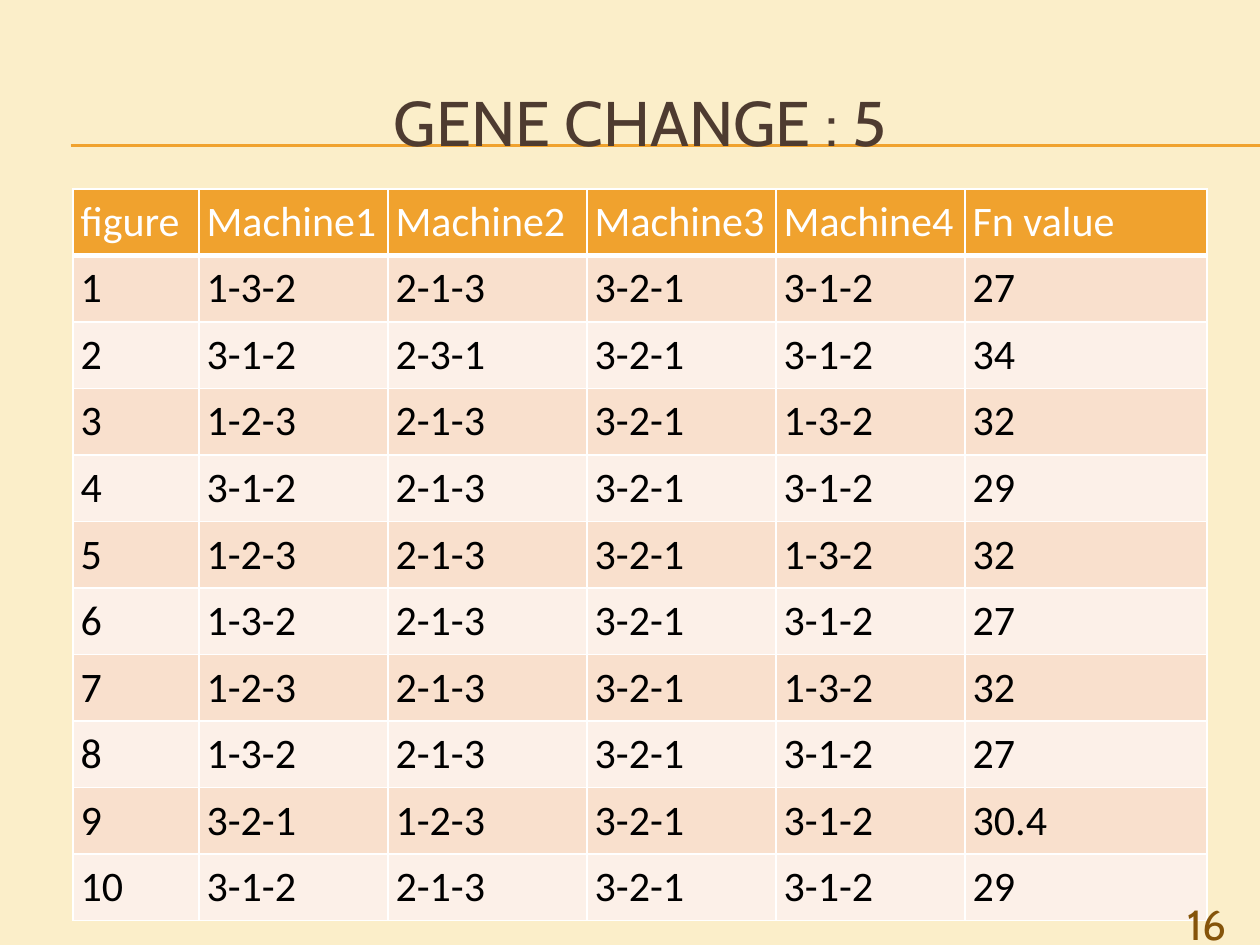
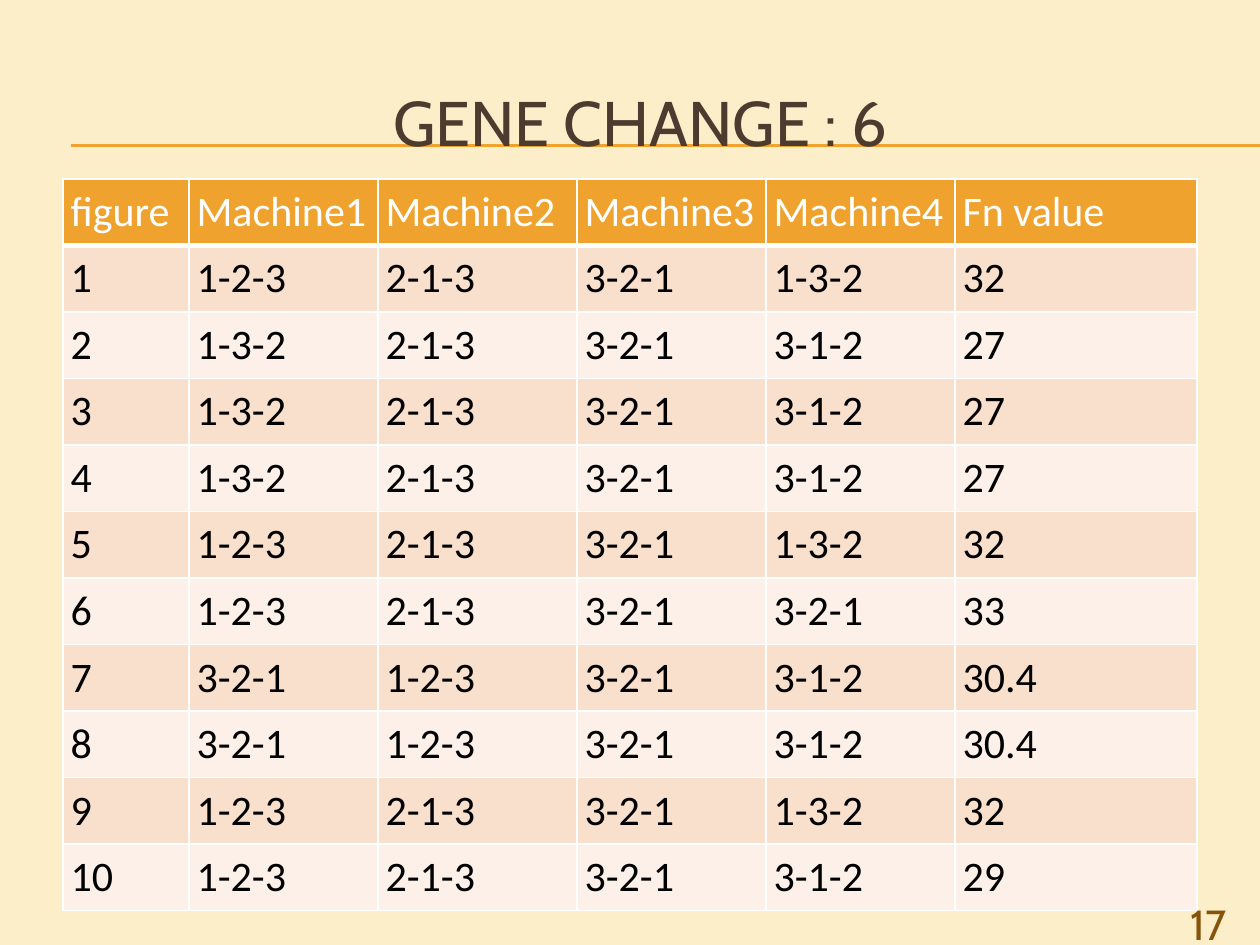
from lxml import etree
from pptx import Presentation
from pptx.dml.color import RGBColor
from pptx.enum.shapes import MSO_CONNECTOR
from pptx.enum.text import MSO_ANCHOR, PP_ALIGN
from pptx.oxml.ns import qn
from pptx.util import Inches, Pt

STRAIGHT = MSO_CONNECTOR.STRAIGHT
TOP, MIDDLE = MSO_ANCHOR.TOP, MSO_ANCHOR.MIDDLE
LEFT, CENTER, RIGHT = PP_ALIGN.LEFT, PP_ALIGN.CENTER, PP_ALIGN.RIGHT

CREAM, ORANGE, WHITE, BLACK = "FBEEC9", "F0A22E", "FFFFFF", "000000"
TITLE_BROWN, NUMBER_BROWN = "4E3B30", "85540A"
BANDS = ("F9E0CD", "FCF0E8")
HEADING_FONT, TABLE_FONT = "Cabin", "Calibri"

COLUMN_WIDTHS = (1, 1.5, 1.58, 1.5, 1.5, 1.92)
TABLE_HEIGHT = 5.81
CELL_INSET = 0.06
HEADER = ("figure", "Machine1", "Machine2", "Machine3", "Machine4", "Fn value")

GENE_CHANGES = (
    {
        "title": "GENE CHANGE : 5", "number": "16", "left": 0.58, "top": 1.5,
        "rows": (
            ("1-3-2", "2-1-3", "3-2-1", "3-1-2", "27"),
            ("3-1-2", "2-3-1", "3-2-1", "3-1-2", "34"),
            ("1-2-3", "2-1-3", "3-2-1", "1-3-2", "32"),
            ("3-1-2", "2-1-3", "3-2-1", "3-1-2", "29"),
            ("1-2-3", "2-1-3", "3-2-1", "1-3-2", "32"),
            ("1-3-2", "2-1-3", "3-2-1", "3-1-2", "27"),
            ("1-2-3", "2-1-3", "3-2-1", "1-3-2", "32"),
            ("1-3-2", "2-1-3", "3-2-1", "3-1-2", "27"),
            ("3-2-1", "1-2-3", "3-2-1", "3-1-2", "30.4"),
            ("3-1-2", "2-1-3", "3-2-1", "3-1-2", "29"),
        ),
    },
    {
        "title": "GENE CHANGE : 6", "number": "17", "left": 0.5, "top": 1.42,
        "rows": (
            ("1-2-3", "2-1-3", "3-2-1", "1-3-2", "32"),
            ("1-3-2", "2-1-3", "3-2-1", "3-1-2", "27"),
            ("1-3-2", "2-1-3", "3-2-1", "3-1-2", "27"),
            ("1-3-2", "2-1-3", "3-2-1", "3-1-2", "27"),
            ("1-2-3", "2-1-3", "3-2-1", "1-3-2", "32"),
            ("1-2-3", "2-1-3", "3-2-1", "3-2-1", "33"),
            ("3-2-1", "1-2-3", "3-2-1", "3-1-2", "30.4"),
            ("3-2-1", "1-2-3", "3-2-1", "3-1-2", "30.4"),
            ("1-2-3", "2-1-3", "3-2-1", "1-3-2", "32"),
            ("1-2-3", "2-1-3", "3-2-1", "3-1-2", "29"),
        ),
    },
)


def color(value):
    """Return the colour for a hex string."""
    return RGBColor.from_string(value)


def write(frame, text, *, size=24, font=HEADING_FONT, fill=BLACK, align=LEFT):
    """Write one formatted paragraph into a text frame."""
    para = frame.paragraphs[0]
    para.alignment = align
    span = para.add_run()
    span.text = text
    span.font.size = Pt(size)
    span.font.name = font
    span.font.bold = False
    span.font.color.rgb = color(fill)


def add_border(cell, side, points):
    """Draw a white border on one side of a table cell."""
    properties = cell._tc.get_or_add_tcPr()
    line = etree.SubElement(properties, qn(f"a:ln{side}"), w=str(Pt(points)))
    solid = etree.SubElement(line, qn("a:solidFill"))
    etree.SubElement(solid, qn("a:srgbClr"), val=WHITE)


class GeneDeck:
    """Hold the deck style and the page being built."""

    def __init__(self):
        """Start an empty deck."""
        self.deck = Presentation()
        self.deck.slide_width = Inches(10)
        self.deck.slide_height = Inches(7.5)
        self.page = None

    def add_page(self):
        """Add a cream page with the double rule."""
        self.page = self.deck.slides.add_slide(self.deck.slide_layouts[6])
        background = self.page.background.fill
        background.solid()
        background.fore_color.rgb = color(CREAM)
        for height in (1.15, 1.16):
            self.add_rule(height)

    def add_rule(self, height):
        """Draw an orange rule that runs to the right edge."""
        rule = self.page.shapes.add_connector(
            STRAIGHT, Inches(0.56), Inches(height), Inches(10), Inches(height))
        rule.line.color.rgb = color(ORANGE)
        rule.line.width = Pt(0.75)
        etree.SubElement(rule._element.spPr, qn("a:effectLst"))

    def add_text(self, text, place, anchor=TOP, **style):
        """Add a text box at left, top, width, height."""
        box = self.page.shapes.add_textbox(*map(Inches, place))
        box.text_frame.word_wrap = True
        box.text_frame.vertical_anchor = anchor
        write(box.text_frame, text, **style)

    def add_title(self, title):
        """Add the centred page title."""
        self.add_text(title, (0.33, 0.5, 9.5, 0.92), MIDDLE,
                      size=36, fill=TITLE_BROWN, align=CENTER)

    def add_number(self, number):
        """Add the page number at the lower right."""
        self.add_text(number, (9, 7.08, 0.83, 0.27), fill=NUMBER_BROWN, align=RIGHT)

    def add_table(self, left, top, rows):
        """Add the banded table with a header and numbered rows."""
        lines = [HEADER, *((str(i), *row) for i, row in enumerate(rows, 1))]
        table = self.page.shapes.add_table(
            len(lines), len(HEADER), Inches(left), Inches(top),
            Inches(sum(COLUMN_WIDTHS)), Inches(TABLE_HEIGHT)).table
        for column, width in zip(table.columns, COLUMN_WIDTHS):
            column.width = Inches(width)
        for i, line in enumerate(lines):
            table.rows[i].height = Inches(TABLE_HEIGHT / len(lines))
            for j, text in enumerate(line):
                self.fill_cell(table.cell(i, j), text, i)

    def fill_cell(self, cell, text, row):
        """Style one cell by its row and write its text."""
        header = row == 0
        cell.margin_left = cell.margin_right = Inches(CELL_INSET)
        cell.margin_top = cell.margin_bottom = Inches(CELL_INSET)
        borders = {"L": 1, "R": 1, "T": 3 if row == 1 else 1, "B": 3 if header else 1}
        for side, points in borders.items():
            add_border(cell, side, points)
        cell.fill.solid()
        cell.fill.fore_color.rgb = color(ORANGE if header else BANDS[(row - 1) % 2])
        write(cell.text_frame, text, font=TABLE_FONT, fill=WHITE if header else BLACK)


def main():
    """Build and save the deck."""
    builder = GeneDeck()
    for change in GENE_CHANGES:
        builder.add_page()
        builder.add_title(change["title"])
        builder.add_table(change["left"], change["top"], change["rows"])
        builder.add_number(change["number"])
    builder.deck.save("out.pptx")


if __name__ == "__main__":
    main()
